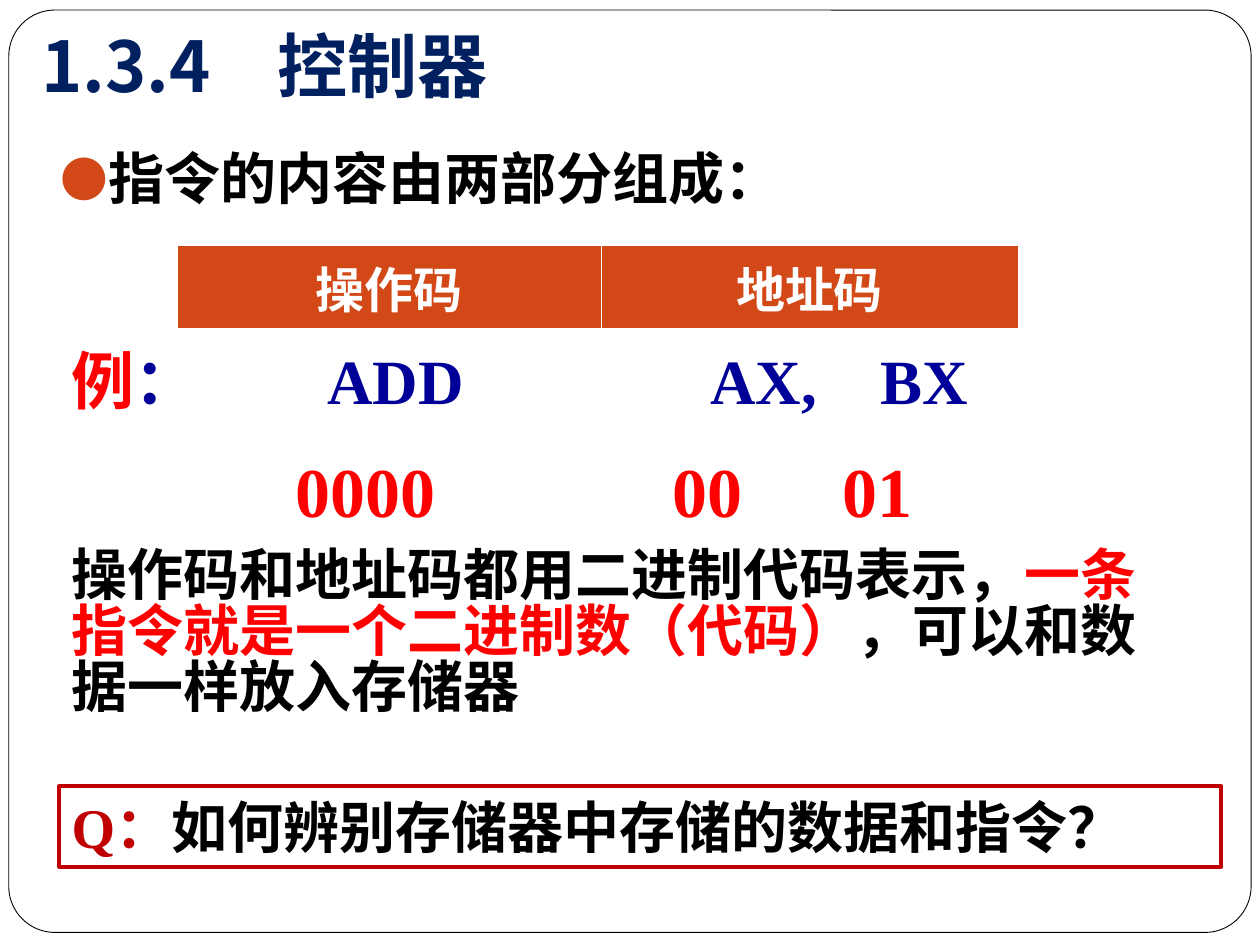
import pptx
import pptx.util
import pptx.dml.color
import pptx.enum.shapes
import pptx.enum.text
import pptx.oxml.ns
from lxml import etree

Inches, Pt = pptx.util.Inches, pptx.util.Pt
Align, Anchor = pptx.enum.text.PP_ALIGN, pptx.enum.text.MSO_ANCHOR
Kind = pptx.enum.shapes.MSO_SHAPE
qn = pptx.oxml.ns.qn

BLACK, WHITE, RED, BLUE = "000000", "FFFFFF", "FF0000", "000099"
NAVY, RUST, WINE = "002060", "D34817", "C00000"


def rgb(code):
    return pptx.dml.color.RGBColor.from_string(code)


def add(parent, tag, **attrs):
    return etree.SubElement(parent, qn(tag), attrs)


class Page:
    serif = "Times New Roman"
    sans = "Noto Sans CJK SC"

    def __init__(self, deck):
        self.slide = deck.slides.add_slide(deck.slide_layouts[1])
        self.shapes = self.slide.shapes

    def place(self, shape, box):
        shape.left, shape.top, shape.width, shape.height = map(Inches, box)

    def fill(self, frame, parts, size, face=None, tabs=()):
        """Fill a frame with one paragraph of (text, colour) parts."""
        frame.word_wrap = True
        frame.auto_size = pptx.enum.text.MSO_AUTO_SIZE.NONE
        frame.vertical_anchor = Anchor.MIDDLE
        para = frame.paragraphs[0]
        para.alignment = Align.LEFT
        para.space_before = Pt(0)
        if tabs:
            stops = add(para._p.get_or_add_pPr(), "a:tabLst")
            for stop in tabs:
                add(stops, "a:tab", pos=str(Inches(stop)), algn="l")
        for text, color in parts:
            run = para.add_run()
            run.text = text
            font = run.font
            font.size, font.bold = Pt(size), True
            font.color.rgb = rgb(color)
            font.name = face or self.serif
            add(run._r.get_or_add_rPr(), "a:ea", typeface=self.sans)
        return para

    def border(self, box):
        shape = self.shapes.add_shape(Kind.ROUNDED_RECTANGLE, *map(Inches, box))
        shape.adjustments[0] = 0.05
        shape.shadow.inherit = False
        shape.fill.solid()
        shape.fill.fore_color.rgb = rgb(WHITE)
        shape.line.color.rgb = rgb(BLACK)
        shape.line.width = Pt(0.5)
        # Lies behind the placeholders
        tree = self.shapes._spTree
        tree.remove(shape._element)
        tree.insert(2, shape._element)

    def title(self, box, text, tabs):
        shape = self.shapes.title
        self.place(shape, box)
        self.fill(shape.text_frame, [(text, NAVY)], 40, self.sans, tabs)

    def bullet(self, box, text):
        shape = self.slide.placeholders[1]
        self.place(shape, box)
        para = self.fill(shape.text_frame, [(text, BLACK)], 32)
        props = para._p.get_or_add_pPr()
        props.set("marL", str(Inches(0.3)))
        props.set("indent", str(Inches(-0.3)))
        add(add(props, "a:buClr"), "a:srgbClr", val=RUST)
        add(props, "a:buSzPct", val="85000")
        add(props, "a:buFont", typeface=self.sans)
        add(props, "a:buChar", char="●")

    def text(self, box, parts, size, tabs=()):
        shape = self.shapes.add_textbox(*map(Inches, box))
        return self.fill(shape.text_frame, parts, size, tabs=tabs)

    def frame(self, box, parts, size):
        shape = self.shapes.add_shape(Kind.RECTANGLE, *map(Inches, box))
        shape.shadow.inherit = False
        shape.fill.background()
        shape.line.color.rgb = rgb(WINE)
        shape.line.width = Pt(2.25)
        self.fill(shape.text_frame, parts, size)

    def table(self, box, widths, labels):
        table = self.shapes.add_table(1, len(labels), *map(Inches, box)).table
        for col, width in zip(table.columns, widths):
            col.width = Inches(width)
        for cell, label in zip(table.rows[0].cells, labels):
            # A cell takes its anchor from the cell, not from its frame
            cell.vertical_anchor = Anchor.TOP
            para = self.fill(cell.text_frame, [(label, WHITE)], 28)
            para.alignment = Align.CENTER
            props = cell._tc.get_or_add_tcPr()
            for side, width in zip("LRTB", (0.45, 0.45, 0.45, 1.47)):
                line = add(props, "a:ln" + side, w=str(Pt(width)))
                add(add(line, "a:solidFill"), "a:srgbClr", val=WHITE)
            cell.fill.solid()
            cell.fill.fore_color.rgb = rgb(RUST)


def main():
    deck = pptx.Presentation()
    deck.slide_width, deck.slide_height = Inches(10), Inches(7.5)
    page = Page(deck)

    # Border, title and lead point
    page.border((0.07, 0.08, 9.86, 7.32))
    page.title((0.23, 0.2, 7.33, 0.62), "1.3.4\t控制器", [1.87])
    page.bullet((0.38, 1.09, 9, 0.63), "指令的内容由两部分组成：")

    # Parts of an instruction
    page.table((1.41, 1.95, 6.67, 0.57), (3.36, 3.31), ("操作码", "地址码"))

    # Example and its binary codes
    page.text((0.47, 2.66, 9.53, 0.7),
              [("例", RED), ("：\tADD\tAX,\tBX", BLUE)], 36, [2.03, 5.07, 6.42])
    for left, width, code in ((2.25, 2.67, "0000"), (5.24, 1.17, "00"),
                              (6.59, 1.17, "01")):
        page.text((left, 3.5, width, 0.77), [(code, RED)], 40)

    # Explanation
    para = page.text((0.47, 4.19, 8.98, 1.7),
                     [("操作码和地址码都用二进制代码表示，", BLACK),
                      ("一条指令就是一个二进制数（代码）", RED),
                      ("，可以和数据一样放入存储器", BLACK)], 32)
    para.line_spacing = 0.83

    # Question
    page.frame((0.47, 6.24, 9.22, 0.64),
               [("Q：", WINE), ("如何辨别存储器中存储的数据和指令？", BLACK)], 32)

    deck.save("out.pptx")


if __name__ == "__main__":
    main()
